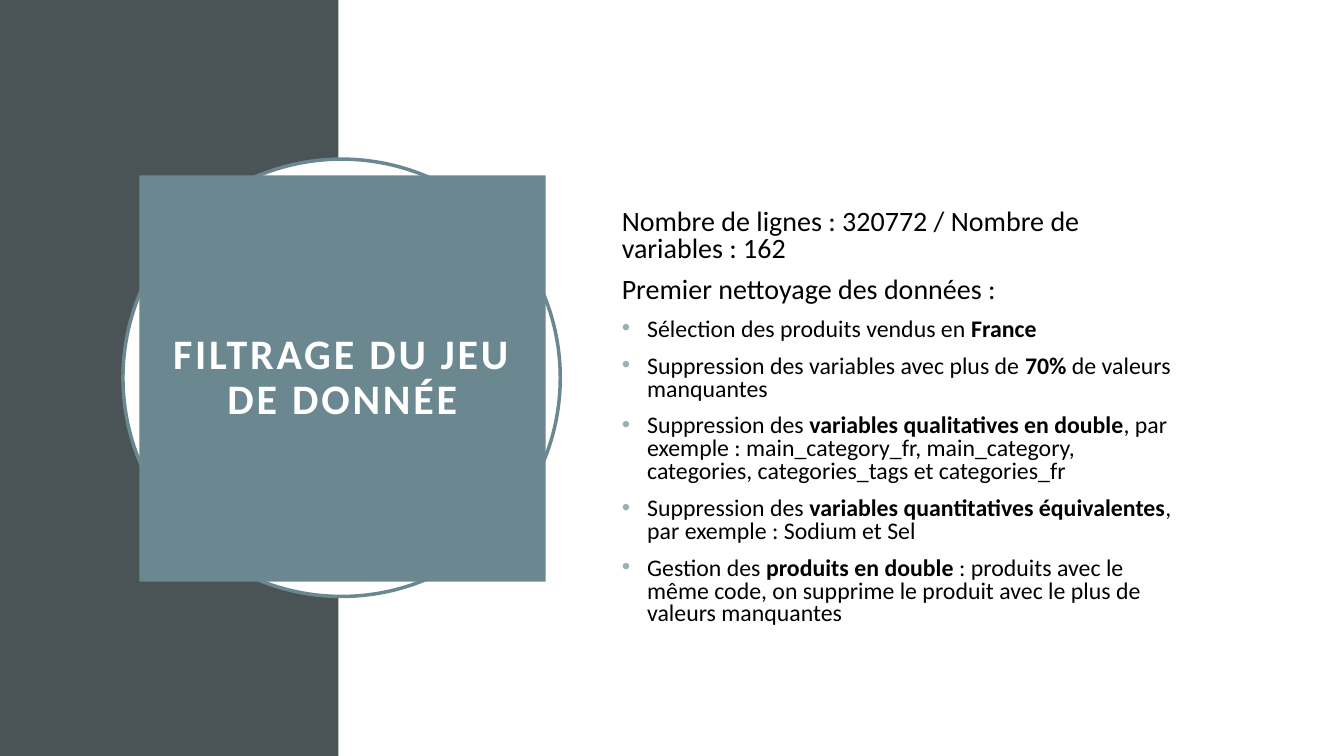
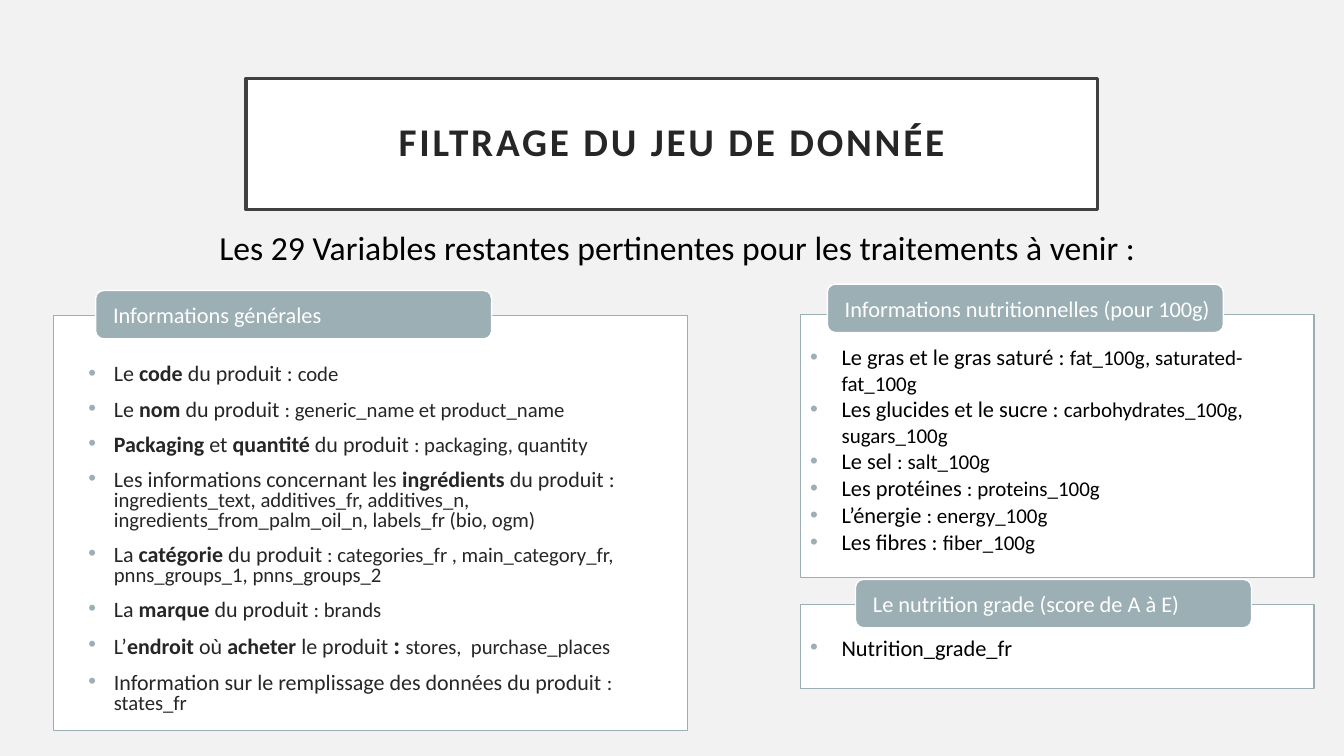
from lxml import etree
from pptx import Presentation
from pptx import util as u
from pptx.dml.color import RGBColor
from pptx.enum import shapes, text
from pptx.oxml import ns

FONT = "Calibri"
WHITE, BLACK, INK, PALE = "FFFFFF", "000000", "262626", "F2F2F2"
SLATE, TEAL, MIST, FRAME = "4A5356", "6B8891", "9BAFB5", "404040"
TITLE = "FILTRAGE DU JEU DE DONNÉE"
TAB_SIZE = (9.98, 1.22)
GENERAL_SIZES = {1: (15.7, 14.8), 2: (15.7, 17.6, 14.8)}

OVERVIEW = [
    "Nombre de lignes : 320772 / Nombre de variables : 162",
    "Premier nettoyage des données :",
]
CLEANING = [
    "Sélection des produits vendus en **France**",
    "Suppression des variables avec plus de **70%** de valeurs manquantes",
    "Suppression des **variables qualitatives en double**, par exemple : "
    "main_category_fr, main_category, categories, categories_tags et categories_fr",
    "Suppression des **variables quantitatives équivalentes**, par exemple : Sodium et Sel",
    "Gestion des **produits en double **: produits avec le même code, "
    "on supprime le produit avec le plus de valeurs manquantes",
]
GENERAL = [
    "Le **code** du produit : |code",
    "Le **nom** du produit |: generic_name et product_name",
    "**Packaging** et **quantité **du produit |: packaging, quantity",
    "Les informations concernant les **ingrédients** du produit : |ingredients_text, "
    "additives_fr, additives_n, ingredients_from_palm_oil_n, labels_fr (bio, ogm)",
    "La **catégorie **du produit |: categories_fr , main_category_fr,  "
    "pnns_groups_1, pnns_groups_2",
    "La **marque **du produit |: brands",
    "L’**endroit** où **acheter** le produit |**: **|stores,  purchase_places",
    "Information sur le remplissage des données du produit |: states_fr",
]
NUTRITION = [
    "Le gras et le gras saturé : |fat_100g, saturated-fat_100g",
    "Les glucides et le sucre : |carbohydrates_100g, sugars_100g",
    "Le sel |: salt_100g",
    "Les protéines |: proteins_100g",
    "L’énergie |: energy_100g",
    "Les fibres : |fiber_100g",
]
GRADE = ["Nutrition_grade_fr"]


def rgb(value):
    """Turn a hex string into a colour."""
    return RGBColor.from_string(value)


def paint(box, fill, line=None, width=1):
    """Set the fill and outline of a box."""
    box.fill.solid()
    box.fill.fore_color.rgb = rgb(fill)
    if line:
        box.line.color.rgb = rgb(line)
        box.line.width = u.Pt(width)
    else:
        box.line.fill.background()


def add_box(page, kind, place, fill, line=None, width=1):
    """Draw a preset shape at a place given in centimetres."""
    box = page.shapes.add_shape(kind, *map(u.Cm, place))
    box.shadow.inherit = False
    paint(box, fill, line, width)
    return box


def set_frame(frame, insets=(0.25, 0.13, 0.25, 0.13), anchor=text.MSO_ANCHOR.TOP):
    """Set wrapping, insets (left, top, right, bottom) and anchor."""
    frame.word_wrap = True
    frame.auto_size = text.MSO_AUTO_SIZE.NONE
    frame.vertical_anchor = anchor
    (frame.margin_left, frame.margin_top,
     frame.margin_right, frame.margin_bottom) = map(u.Cm, insets)
    return frame


def add_bullet(para, left, hanging):
    """Give a paragraph a hanging bullet, with lengths in centimetres."""
    props = para._p.get_or_add_pPr()
    props.set("marL", str(u.Cm(left)))
    props.set("indent", str(-u.Cm(hanging)))
    colour = etree.SubElement(props, ns.qn("a:buClr"))
    etree.SubElement(colour, ns.qn("a:srgbClr")).set("val", MIST)
    etree.SubElement(props, ns.qn("a:buFont")).set("typeface", "Arial")
    etree.SubElement(props, ns.qn("a:buChar")).set("char", "•")


def write(frame, content, sizes, colour=BLACK, bold=False, align=text.PP_ALIGN.LEFT,
          leading=None, before=0, tracking=0, bullet=None):
    """Write a paragraph: ** switches bold and | moves to the next size."""
    para = frame.paragraphs[0]
    if para.runs:
        para = frame.add_paragraph()
    para.alignment = align
    para.space_before = u.Pt(before)
    if leading:
        para.line_spacing = leading
    if bullet:
        add_bullet(para, *bullet)
    for size, part in zip(sizes, content.split("|")):
        for index, words in enumerate(part.split("**")):
            if words:
                span = para.add_run()
                span.text = words
                span.font.name = FONT
                span.font.size = u.Pt(size)
                span.font.bold = bold or index % 2 == 1
                span.font.color.rgb = rgb(colour)
                if tracking:
                    span.font._element.set("spc", str(tracking * 100))


def add_page(deck, background):
    """Add a title-only slide with a plain background."""
    page = deck.slides.add_slide(deck.slide_layouts[5])
    page.background.fill.solid()
    page.background.fill.fore_color.rgb = rgb(background)
    return page


def set_title(page, place, size, colour, fill, line=None):
    """Place the title in a filled box above what is already drawn."""
    box = page.shapes.title
    box.left, box.top, box.width, box.height = map(u.Cm, place)
    paint(box, fill, line, 2.5)
    frame = set_frame(box.text_frame, (0.51,) * 4, text.MSO_ANCHOR.MIDDLE)
    write(frame, TITLE, (size,), colour, bold=True, align=text.PP_ALIGN.CENTER,
          leading=0.9, tracking=2)
    box.element.getparent().append(box.element)


def add_textbox(page, place, anchor=text.MSO_ANCHOR.TOP):
    """Add a wrapping text box and return its frame."""
    box = page.shapes.add_textbox(*map(u.Cm, place))
    return set_frame(box.text_frame, anchor=anchor)


def add_card(page, place, tab_corner, heading, insets):
    """Draw a white card with a rounded heading tab and return its frame."""
    card = add_box(page, shapes.MSO_SHAPE.RECTANGLE, place, WHITE, MIST)
    tab = add_box(page, shapes.MSO_SHAPE.ROUNDED_RECTANGLE,
                  tab_corner + TAB_SIZE, MIST, WHITE)
    frame = set_frame(tab.text_frame, (0.38, 0, 0, 0), text.MSO_ANCHOR.MIDDLE)
    write(frame, heading, (16,), WHITE)
    return set_frame(card.text_frame, insets)


def build_cleaning(deck):
    """Build the slide on the first cleaning steps."""
    page = add_page(deck, WHITE)
    add_box(page, shapes.MSO_SHAPE.RECTANGLE, (0, 0, 8.53, 19.05), SLATE)
    add_box(page, shapes.MSO_SHAPE.OVAL, (3.1, 4.01, 11.02, 11.02), WHITE, TEAL, 2.5)
    set_title(page, (3.51, 4.42, 10.24, 10.24), 30, WHITE, TEAL)
    frame = add_textbox(page, (15.42, 4.65, 14.48, 11.79), text.MSO_ANCHOR.MIDDLE)
    for line in OVERVIEW:
        write(frame, line, (20,), leading=0.8, before=10)
    for line in CLEANING:
        write(frame, line, (17,), leading=0.8, before=10, bullet=(0.64, 0.64))


def build_variables(deck):
    """Build the slide on the variables that remain."""
    page = add_page(deck, PALE)
    set_title(page, (6.2, 1.98, 21.46, 3.3), 28, INK, WHITE, FRAME)
    caption = add_textbox(page, (5.28, 5.59, 28.45, 1.27))
    write(caption, "Les 29 Variables restantes pertinentes pour les traitements à venir :", (24,))
    general = add_card(page, (1.35, 7.95, 15.98, 10.46), (2.41, 7.32),
                       "Informations générales", (0.25, 1.25, 0.63, 0))
    for line in GENERAL:
        write(general, line, GENERAL_SIZES[line.count("|")], INK,
              leading=0.8, before=10, bullet=(1.27, 0.64))
    cards = [
        (7.92, 6.63, (20.85, 7.16), "Informations nutritionnelles (pour 100g)", NUTRITION),
        (15.24, 2.11, (21.56, 14.6), "Le nutrition grade (score de A à E)", GRADE),
    ]
    for top, height, tab_corner, heading, lines in cards:
        frame = add_card(page, (20.17, top, 12.95, height), tab_corner,
                         heading, (0.25, 0.73, 0.25, 0))
        for line in lines:
            write(frame, line, (16, 15), bullet=(0.79, 0.79))


def main():
    """Build and save the deck."""
    deck = Presentation()
    deck.slide_width, deck.slide_height = u.Cm(33.87), u.Cm(19.05)
    build_cleaning(deck)
    build_variables(deck)
    deck.save("out.pptx")


if __name__ == "__main__":
    main()
